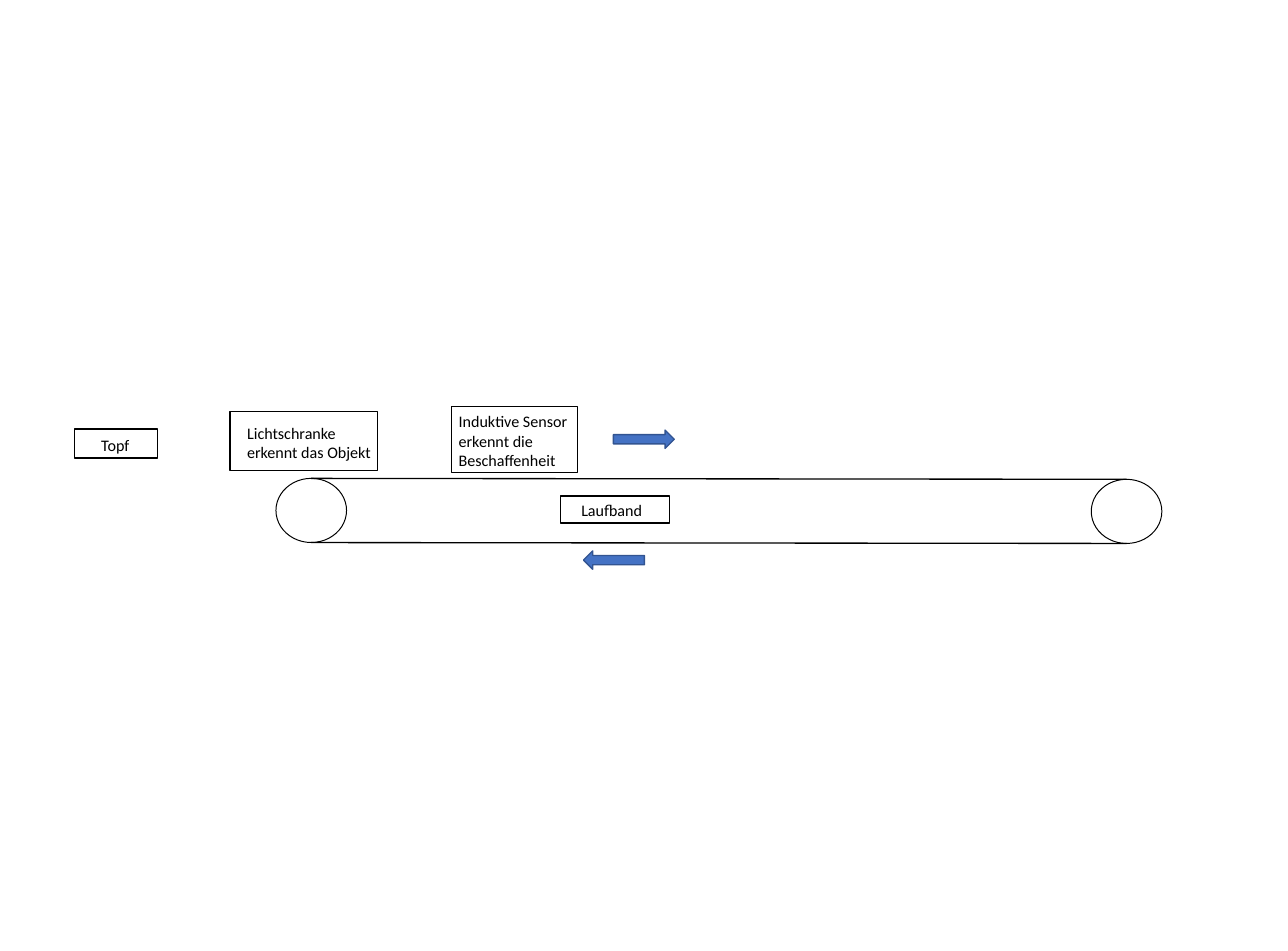
import pptx
import pptx.util
import pptx.dml.color
import pptx.enum.shapes
import pptx.oxml.ns
import lxml.etree

Pt = pptx.util.Pt
MSO = pptx.enum.shapes.MSO_SHAPE


def color(value):
    return pptx.dml.color.RGBColor.from_string(value)


class Diagram:
    font, size = "Calibri", 12
    ink, paper = "000000", "FFFFFF"
    arrow_fill, arrow_line = "4472C4", "325491"

    def __init__(self, slide):
        self.s = slide

    def shape(self, kind, x, y, w, h, fill=None, line=ink, weight=1):
        sp = self.s.shapes.add_shape(kind, Pt(x), Pt(y), Pt(w), Pt(h))
        sp.shadow.inherit = False
        if fill:
            sp.fill.solid()
            sp.fill.fore_color.rgb = color(fill)
        else:
            sp.fill.background()
        sp.line.color.rgb = color(line)
        sp.line.width = Pt(weight)
        return sp

    def arrow(self, x, y, rotation=0):
        sp = self.shape(MSO.RIGHT_ARROW, x, y, 45.4, 13.7,
                        self.arrow_fill, self.arrow_line)
        sp.rotation = rotation

    def line(self, x1, y1, x2, y2):
        c = self.s.shapes.add_connector(
            pptx.enum.shapes.MSO_CONNECTOR.STRAIGHT,
            Pt(x1), Pt(y1), Pt(x2), Pt(y2))
        c.line.color.rgb = color(self.ink)
        c.line.width = Pt(1)
        lxml.etree.SubElement(c._element.spPr, pptx.oxml.ns.qn("a:effectLst"))

    def text(self, x, y, w, h, *lines):
        tf = self.s.shapes.add_textbox(Pt(x), Pt(y), Pt(w), Pt(h)).text_frame
        tf.word_wrap = True
        for i, line in enumerate(lines):
            p = tf.add_paragraph() if i else tf.paragraphs[0]
            r = p.add_run()
            r.text = line
            r.font.name = self.font
            r.font.size = Pt(self.size)
            r.font.color.rgb = color(self.ink)


prs = pptx.Presentation()
prs.slide_width, prs.slide_height = Pt(960), Pt(708.5)
d = Diagram(prs.slides.add_slide(prs.slide_layouts[6]))

# Conveyor belt: two rollers joined by two strands
roller_w, roller_h = 52.6, 47.8
left_x, left_y = 205.7, 356.4
right_x, right_y = 813.4, 357.1
for x, y in ((right_x, right_y), (left_x, left_y)):
    d.shape(MSO.OVAL, x, y, roller_w, roller_h, weight=0.75)
for dy in (0, roller_h):
    d.line(left_x + roller_w / 2, left_y + dy,
           right_x + roller_w / 2, right_y + dy)

# Light barrier
d.shape(MSO.RECTANGLE, 171.4, 306.7, 110.2, 43.9, d.paper)
d.text(177.1, 311.8, 125.3, 36, "Lichtschranke", "erkennt das Objekt")

# Running direction
d.arrow(434.9, 410.4, 180)
d.arrow(457.2, 320.4)

# Belt label
d.shape(MSO.RECTANGLE, 417.6, 369.4, 81.4, 20.2, d.paper)
d.text(426.2, 369.4, 125.3, 21.6, "Laufband")

# Pot
d.shape(MSO.RECTANGLE, 55.4, 319.7, 61.9, 21.6, d.paper)
d.text(68.4, 321.1, 61.9, 21.6, "Topf")

# Inductive sensor
d.text(334.8, 303.1, 110.2, 51.1,
       "Induktive Sensor", "erkennt die Beschaffenheit")
d.shape(MSO.RECTANGLE, 336.2, 303.1, 94.3, 49, weight=0.75)

prs.save("out.pptx")
